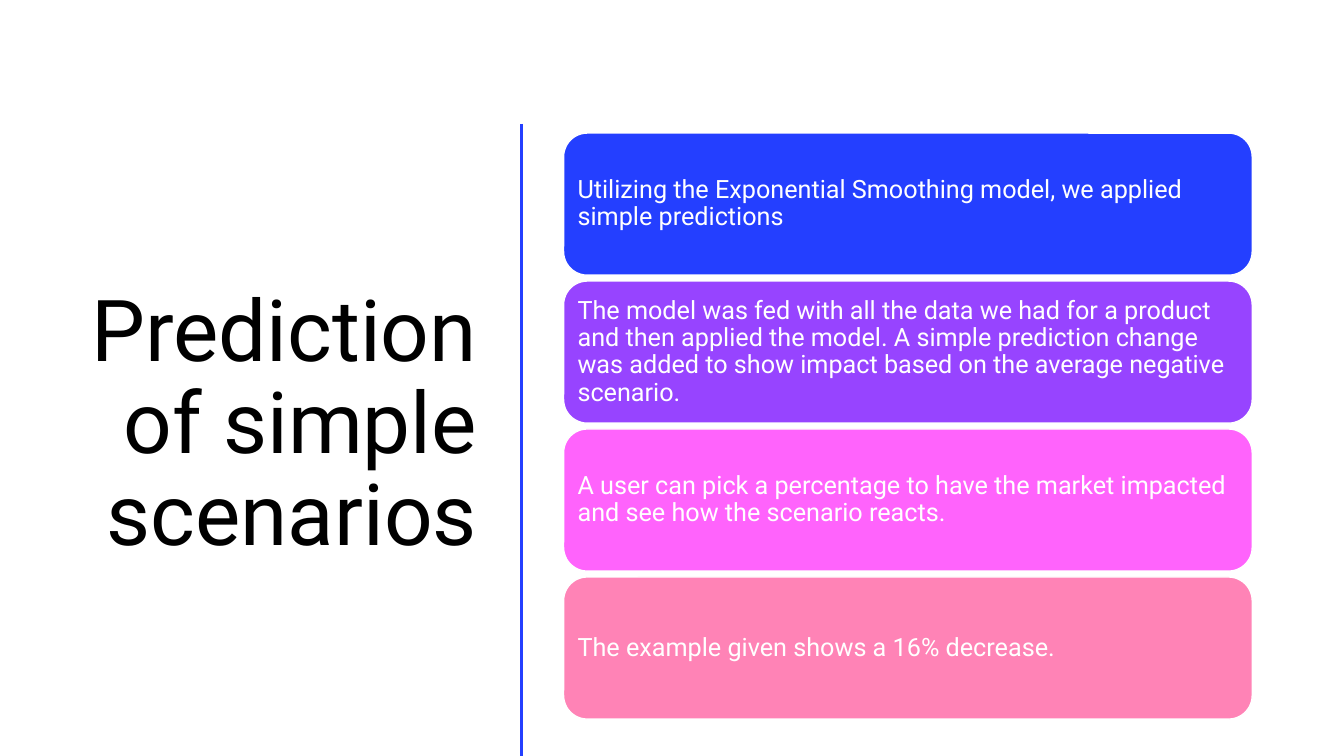
from lxml import etree
from pptx import Presentation
from pptx.dml.color import RGBColor
from pptx.enum.shapes import MSO_CONNECTOR, MSO_SHAPE
from pptx.enum.text import MSO_ANCHOR, MSO_AUTO_SIZE, PP_ALIGN
from pptx.oxml.ns import qn
from pptx.util import Inches, Pt

STRAIGHT = MSO_CONNECTOR.STRAIGHT
ROUNDED = MSO_SHAPE.ROUNDED_RECTANGLE
MIDDLE = MSO_ANCHOR.MIDDLE
NO_AUTOFIT = MSO_AUTO_SIZE.NONE
LEFT, RIGHT = PP_ALIGN.LEFT, PP_ALIGN.RIGHT

FONT = "Roboto"
BLACK = RGBColor(0x00, 0x00, 0x00)
WHITE = RGBColor(0xFF, 0xFF, 0xFF)
BLUE = RGBColor(0x24, 0x3F, 0xFF)
PURPLE = RGBColor(0x97, 0x44, 0xFF)
MAGENTA = RGBColor(0xFF, 0x63, 0xFC)
PINK = RGBColor(0xFF, 0x83, 0xB6)

# Content
TITLE = "Prediction of simple scenarios"
CARDS = [
    ("Utilizing the Exponential Smoothing model, we applied simple predictions", BLUE),
    ("The model was fed with all the data we had for a product and then applied "
     "the model. A simple prediction change was added to show impact based on the "
     "average negative scenario.", PURPLE),
    ("A user can pick a percentage to have the market impacted and see how the "
     "scenario reacts.", MAGENTA),
    ("The example given shows a 16% decrease.", PINK),
]

# Layout in inches
SLIDE_WIDTH, SLIDE_HEIGHT = 13.33, 7.5
TITLE_BOX = (0.52, 1.17, 4.31, 6.11)
DIVIDER_X, DIVIDER_TOP = 5.17, 1.23
CARD_LEFT, CARD_TOP, CARD_WIDTH, CARD_HEIGHT = 5.59, 1.32, 6.83, 1.41
CARD_PITCH = 1.468
CARD_INSET = 0.07


def write_text(shape, text, size, color, align=LEFT, inset=None):
    frame = shape.text_frame
    frame.word_wrap = True
    frame.auto_size = NO_AUTOFIT
    frame.vertical_anchor = MIDDLE
    if inset is not None:
        frame.margin_left = frame.margin_right = Inches(inset)
        frame.margin_top = frame.margin_bottom = Inches(inset)
    paragraph = frame.paragraphs[0]
    paragraph.alignment = align
    paragraph.line_spacing = 0.9
    run = paragraph.add_run()
    run.text = text
    run.font.name = FONT
    run.font.size = Pt(size)
    run.font.color.rgb = color


presentation = Presentation()
presentation.slide_width = Inches(SLIDE_WIDTH)
presentation.slide_height = Inches(SLIDE_HEIGHT)
slide = presentation.slides.add_slide(presentation.slide_layouts[5])
slide.background.fill.solid()
slide.background.fill.fore_color.rgb = WHITE

# Title
title = slide.shapes.title
title.left, title.top, title.width, title.height = map(Inches, TITLE_BOX)
write_text(title, TITLE, size=61, color=BLACK, align=RIGHT)

# Divider running to the bottom edge
divider = slide.shapes.add_connector(
    STRAIGHT, Inches(DIVIDER_X), Inches(DIVIDER_TOP),
    Inches(DIVIDER_X), Inches(SLIDE_HEIGHT))
divider.line.color.rgb = BLUE
divider.line.width = Pt(2)
etree.SubElement(divider._element.spPr, qn("a:effectLst"))

# Stacked cards
for row, (text, color) in enumerate(CARDS):
    card = slide.shapes.add_shape(
        ROUNDED, Inches(CARD_LEFT), Inches(CARD_TOP + row * CARD_PITCH),
        Inches(CARD_WIDTH), Inches(CARD_HEIGHT))
    card.shadow.inherit = False
    card.fill.solid()
    card.fill.fore_color.rgb = color
    card.line.color.rgb = WHITE
    card.line.width = Pt(1)
    write_text(card, text, size=18, color=WHITE, inset=CARD_INSET)

presentation.save("out.pptx")
